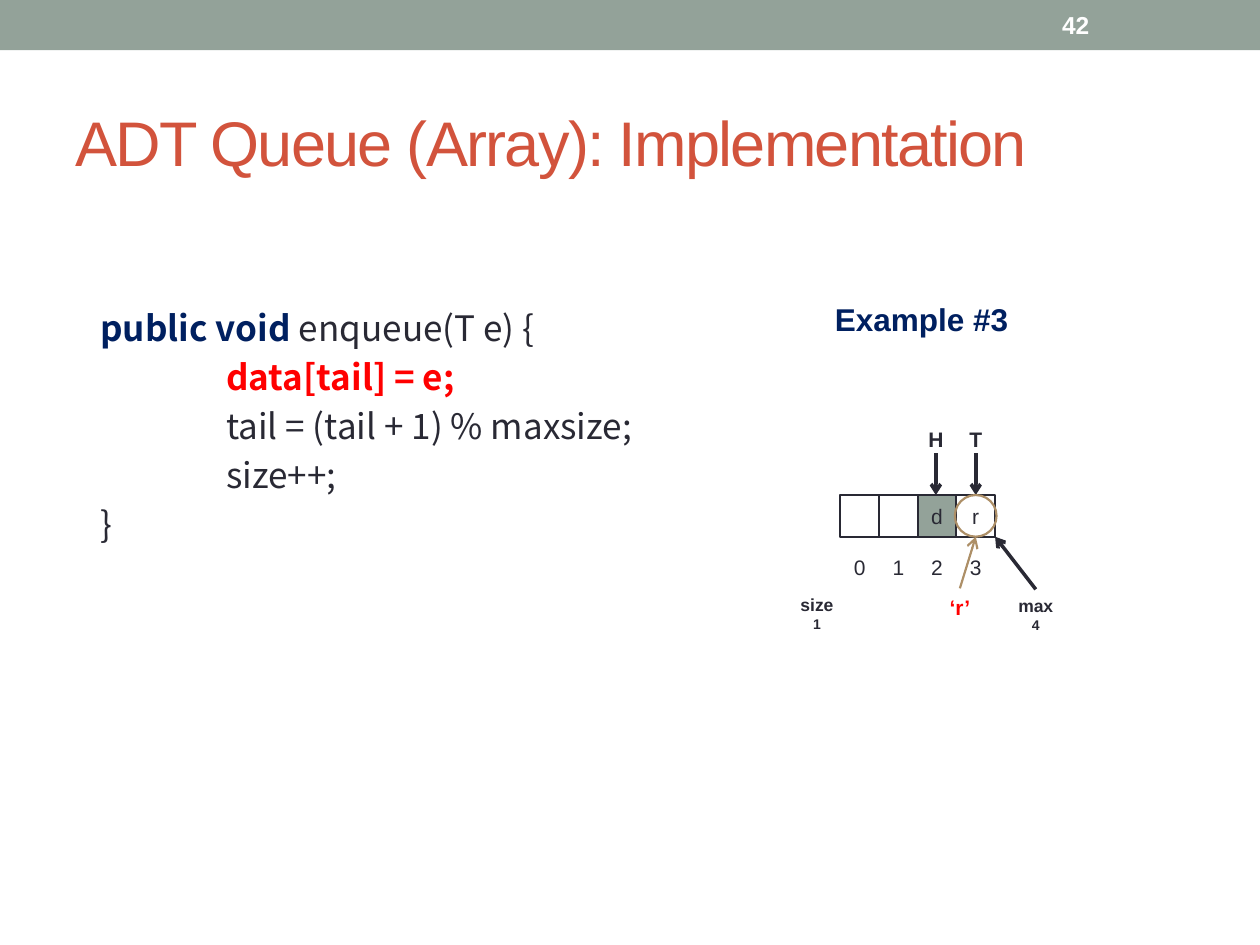
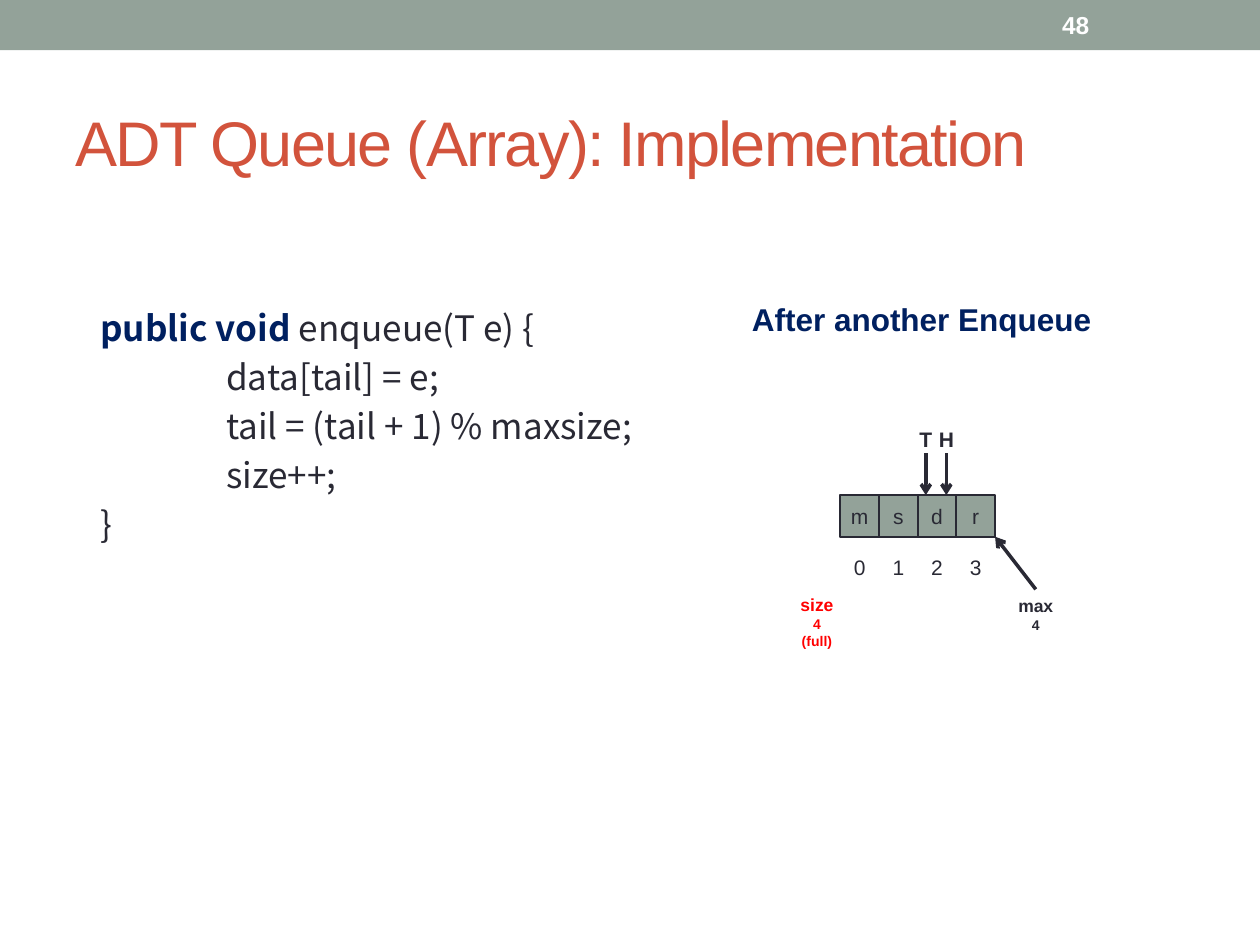
from lxml import etree
from pptx import Presentation
from pptx import util as u
from pptx.dml import color
from pptx.enum import shapes, text
from pptx.oxml import ns

SAGE, RUST, INK = "93A299", "D2533C", "292934"
NAVY, RED, TAN, WHITE = "002060", "FF0000", "AD8F67", "FFFFFF"
SANS, CODE = "Arial", "Noto Sans CJK SC"
MID, LEFT = text.PP_ALIGN.CENTER, text.PP_ALIGN.LEFT
CELL, TALL = 0.78, 0.84


def rgb(code):
    """Turn a hex string into a colour."""
    return color.RGBColor.from_string(code)


def style(run, size, hue=INK, bold=False, face=SANS):
    """Set the font of one run."""
    font = run.font
    font.name, font.size, font.bold = face, u.Pt(size), bold
    font.color.rgb = rgb(hue)


def label(slide, box, words, sizes, hue=INK, bold=False, align=MID, anchor=text.MSO_ANCHOR.TOP):
    """Add a text box with one size per line and return it."""
    item = slide.shapes.add_textbox(*map(u.Cm, box))
    frame = item.text_frame
    frame.text = words
    frame.word_wrap, frame.vertical_anchor = False, anchor
    for para, size in zip(frame.paragraphs, sizes):
        para.alignment = align
        style(para.runs[0], size, hue, bold)
    return item


def shape(slide, kind, box, fill=None, line=None):
    """Add a flat preset shape and return it."""
    item = slide.shapes.add_shape(kind, *map(u.Cm, box))
    item.shadow.inherit = False
    if fill:
        item.fill.solid()
        item.fill.fore_color.rgb = rgb(fill)
    else:
        item.fill.background()
    if line:
        item.line.color.rgb = rgb(line)
        item.line.width = u.Pt(1.25)
    else:
        item.line.fill.background()
    return item


def arrow(slide, ends, hue=INK, width=2):
    """Draw an open arrow between two points."""
    item = slide.shapes.add_connector(shapes.MSO_CONNECTOR.STRAIGHT, *map(u.Cm, ends))
    item.line.color.rgb = rgb(hue)
    item.line.width = u.Pt(width)
    etree.SubElement(item.line._get_or_add_ln(), ns.qn("a:tailEnd"), type="arrow")
    etree.SubElement(item._element.spPr, ns.qn("a:effectLst"))


def base(deck, page):
    """Add a slide with its band, page number and title."""
    slide = deck.slides.add_slide(deck.slide_layouts[6])
    shape(slide, shapes.MSO_SHAPE.RECTANGLE, (0, 0, 25.4, 1.01), SAGE)
    middle = text.MSO_ANCHOR.MIDDLE
    label(slide, (21.16, 0.05, 2.97, 0.91), page, [14], WHITE, True, LEFT, middle)
    title = label(slide, (1.27, 1.47, 22.86, 2.74), "ADT Queue (Array): Implementation",
                  [36], RUST, False, LEFT, middle)
    title.text_frame.word_wrap = True
    title.text_frame.paragraphs[0].runs[0].font._element.set("spc", "-100")
    return slide


def method(slide, box, hot):
    """Write the enqueue method, with the line numbered hot in red."""
    frame = slide.shapes.add_textbox(*map(u.Cm, box)).text_frame
    frame.word_wrap = True
    frame.margin_top = u.Cm(2.02)
    lines = ["enqueue(T e) {", "data[tail] = e;", "tail = (tail + 1) % maxsize;", "size++;", "}"]
    for row, words in enumerate(lines):
        para = frame.paragraphs[0] if row == 0 else frame.add_paragraph()
        para.line_spacing = u.Pt(28)
        inner = 0 < row < len(lines) - 1
        para._p.get_or_add_pPr().set("marL", str(u.Cm(3.04 if inner else 0.5)))
        if row == 0:
            run = para.add_run()
            run.text = "public void "
            style(run, 20, NAVY, True, CODE)
        run = para.add_run()
        run.text = words
        style(run, 20, RED if row == hot else INK, row == hot, CODE)


def queue(slide, x, y, head, items, full, marks, size, tint=INK):
    """Draw the array at x, y with its heading, pointers, indexes and counts."""
    label(slide, (x - 2.11, y - 4.06, 7.5, 1.02), head, [18], NAVY, True)
    for i, item in enumerate(items):
        left = x + i * CELL
        cell = shape(slide, shapes.MSO_SHAPE.RECTANGLE, (left, y, CELL, TALL),
                     SAGE if i in full else WHITE, INK)
        frame = cell.text_frame
        frame.margin_left = frame.margin_right = 0
        frame.word_wrap = False
        if item:
            frame.text = item
            frame.paragraphs[0].alignment = MID
            style(frame.paragraphs[0].runs[0], 12)
        label(slide, (left, y + 1.07, CELL, 0.76), str(i), [12])
    for name, spot in marks.items():
        mid = x + spot * CELL
        label(slide, (mid - 0.4, y - 1.5, 0.8, 0.76), name, [12], INK, True)
        arrow(slide, (mid, y - 0.84, mid, y))
    label(slide, (x - 1.07, y + 1.88, 1.2, 1.02), size, [10, 8, 8], tint, True)
    label(slide, (x + 3.3, y + 1.9, 1.28, 1.02), "max\n4", [10, 8], INK, True)
    arrow(slide, (x + 3.94, y + 1.9, x + 4 * CELL, y + TALL))


def entry(slide, x, y, spot, item):
    """Ring the cell at spot and point the new item to it."""
    mid = x + (spot + 0.5) * CELL
    shape(slide, shapes.MSO_SHAPE.OVAL, (mid - TALL / 2, y, TALL, TALL), None, TAN)
    arrow(slide, (mid - 0.32, y + 1.88, mid, y + TALL), TAN, 1.25)
    label(slide, (mid - 0.8, y + 1.88, 0.96, 0.76), item, [12], RED, True)


deck = Presentation()
deck.slide_width, deck.slide_height = u.Cm(25.4), u.Cm(19.05)
AREA, SPOT = (1.27, 4.01, 21.8, 11.63), (16.94, 9.98)

slide = base(deck, "42")
method(slide, AREA, 1)
queue(slide, *SPOT, "Example #3", ["", "", "d", "r"], {2}, {"H": 2.47, "T": 3.5}, "size\n1")
entry(slide, *SPOT, 3, "‘r’")

slide = base(deck, "48")
method(slide, AREA, None)
queue(slide, *SPOT, "After another Enqueue", "msdr", range(4), {"T": 2.21, "H": 2.74},
      "size\n4\n(full)", RED)

deck.save("out.pptx")
